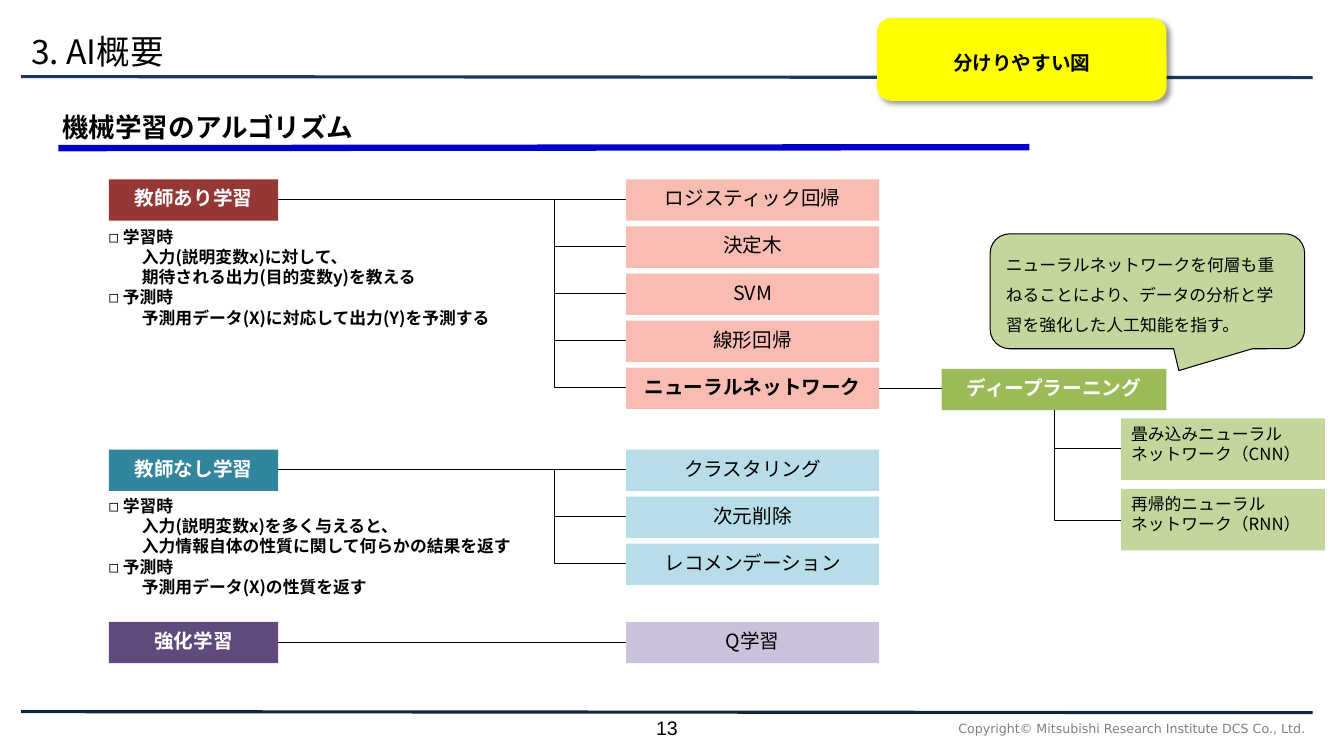
from dataclasses import dataclass

from lxml.etree import SubElement
from pptx import Presentation
from pptx.dml.color import RGBColor
from pptx.enum.shapes import MSO_CONNECTOR, MSO_SHAPE
from pptx.enum.text import MSO_ANCHOR, PP_ALIGN
from pptx.oxml.ns import qn
from pptx.util import Inches, Pt


@dataclass(frozen=True)
class Theme:
    """Fonts, type sizes and colours of the slide."""
    font: str = "Noto Sans CJK JP"
    number_font: str = "Arial"
    footer_font: str = "DejaVu Sans"
    title: int = 24
    heading: int = 19
    label: int = 14
    body: int = 12
    footer: int = 9
    black: str = "000000"
    white: str = "FFFFFF"
    grey: str = "808080"
    navy: str = "17375E"
    dark_navy: str = "0F243E"
    blue: str = "0000CC"
    yellow: str = "FFFF00"
    red: str = "953735"
    pink: str = "F8BCB3"
    teal: str = "31859C"
    sky: str = "B7DEE8"
    purple: str = "604A7B"
    lilac: str = "CCC1DA"
    green: str = "9BBB59"
    lime: str = "C3D69B"


class Deck:
    """Draws styled elements on the current slide."""

    def __init__(self, prs, theme):
        self.t = theme
        self.s = prs.slides.add_slide(prs.slide_layouts[6])

    def set_text(self, sp, lines, size, color=None, bold=False, align=PP_ALIGN.LEFT,
                 leading=1.2, font=None, anchor=MSO_ANCHOR.TOP, indented=()):
        """Fill a shape with evenly styled paragraphs."""
        tf = sp.text_frame
        tf.word_wrap = True
        tf.vertical_anchor = anchor
        for i, line in enumerate(lines):
            p = tf.paragraphs[0] if i == 0 else tf.add_paragraph()
            p.add_run().text = line
            p.alignment = align
            p.line_spacing = Pt(round(size * leading, 1))
            if i in indented:
                p._p.get_or_add_pPr().set("marL", str(Inches(0.33)))
            p.font.size = Pt(size)
            p.font.bold = bold
            p.font.color.rgb = RGBColor.from_string(color or self.t.black)
            p.font.name = font or self.t.font
            SubElement(p.font._element, qn("a:ea"), typeface=p.font.name)

    def text(self, x, y, w, h, lines, size, **style):
        """Add a text box."""
        sp = self.s.shapes.add_textbox(Inches(x), Inches(y), Inches(w), Inches(h))
        self.set_text(sp, lines, size, **style)
        return sp

    def box(self, x, y, w, h, fill, lines, size, kind=MSO_SHAPE.RECTANGLE, **style):
        """Add a filled shape with text and no outline."""
        sp = self.s.shapes.add_shape(kind, Inches(x), Inches(y), Inches(w), Inches(h))
        sp.shadow.inherit = False
        sp.fill.solid()
        sp.fill.fore_color.rgb = RGBColor.from_string(fill)
        sp.line.fill.background()
        self.set_text(sp, lines, size, **style)
        return sp

    def label(self, x, y, w, fill, line, **style):
        """Add a one-line node of the tree."""
        return self.box(x, y, w, 0.41, fill, [line], self.t.label,
                        align=PP_ALIGN.CENTER, leading=1.3, **style)

    def stroke(self, sp, color, width):
        """Set the outline of a shape or connector."""
        sp.line.color.rgb = RGBColor.from_string(color)
        sp.line.width = Pt(width)

    def line(self, x1, y1, x2, y2, color=None, width=0.75):
        """Add a straight line."""
        c = self.s.shapes.add_connector(
            MSO_CONNECTOR.STRAIGHT, Inches(x1), Inches(y1), Inches(x2), Inches(y2))
        self.stroke(c, color or self.t.black, width)
        SubElement(c._element.spPr, qn("a:effectLst"))

    def elbow(self, x1, y1, x2, y2):
        """Add a line that runs down and then right."""
        fb = self.s.shapes.build_freeform(Inches(x1), Inches(y1))
        fb.add_line_segments([(Inches(x1), Inches(y2)), (Inches(x2), Inches(y2))], close=False)
        sp = fb.convert_to_shape()
        sp.shadow.inherit = False
        sp.fill.background()
        self.stroke(sp, self.t.black, 0.75)

    def branches(self, x1, y1, x2, ys):
        """Link a trunk to every branch height."""
        for y in ys[:-1]:
            self.line(x1, y, x2, y)
        self.elbow(x1, y1, x2, ys[-1])

    def tree(self, y, root, leaves, dark, light, strong=None):
        """Add a learning type with its algorithms."""
        tops = [y + 0.467 * i for i in range(len(leaves))]
        mid = y + 0.2
        self.label(1.08, y, 1.68, dark, root, color=self.t.white, bold=True)
        self.line(2.76, mid, 6.21, mid)
        if len(leaves) > 1:
            self.branches(5.5, mid, 6.21, [top + 0.2 for top in tops[1:]])
        for top, leaf in zip(tops, leaves):
            self.label(6.21, top, 2.51, light, leaf, bold=leaf == strong)

    def phases(self, y, learning, prediction):
        """Describe the learning and prediction phases."""
        lines = ["◻ 学習時", *learning, "◻ 予測時", prediction]
        self.text(0.98, y, 4.27, 1.11, lines, self.t.body, bold=True, indented=(1, 2, 4))

    def cast_shadow(self, sp):
        """Give a shape a soft shadow to the lower right."""
        effects = sp._element.spPr.find(qn("a:effectLst"))
        shadow = SubElement(effects, qn("a:outerShdw"), blurRad=str(Pt(4)),
                            dist=str(Pt(3)), dir="2700000", algn="tl", rotWithShape="0")
        color = SubElement(shadow, qn("a:srgbClr"), val=self.t.black)
        SubElement(color, qn("a:alpha"), val="40000")


def main():
    """Build the slide on machine learning algorithms."""
    prs = Presentation()
    prs.slide_width, prs.slide_height = Inches(13.33), Inches(7.5)
    t = Theme()
    d = Deck(prs, t)

    d.line(0.21, 7.06, 13.02, 7.07, t.dark_navy, 2.25)
    footer = d.text(7.2, 7.15, 5.84, 0.15,
                    ["Copyright© Mitsubishi Research Institute DCS Co., Ltd."], t.footer,
                    color=t.grey, font=t.footer_font, align=PP_ALIGN.RIGHT,
                    anchor=MSO_ANCHOR.BOTTOM)
    footer.text_frame.margin_top = footer.text_frame.margin_bottom = 0
    d.text(0.21, 7.08, 12.81, 0.31, ["13"], t.label, font=t.number_font,
           align=PP_ALIGN.CENTER, anchor=MSO_ANCHOR.BOTTOM)
    d.line(0.21, 0.76, 13.02, 0.77, t.navy, 2.25)
    d.text(0.21, 0.26, 11.5, 0.47, ["3. AI概要"], t.title)
    note = d.box(8.7, 0.18, 2.87, 0.82, t.yellow, ["分けりやすい図"], t.label,
                 kind=MSO_SHAPE.ROUNDED_RECTANGLE, bold=True,
                 align=PP_ALIGN.CENTER, leading=2.4)
    d.cast_shadow(note)
    d.text(0.52, 1.05, 9.76, 0.42, ["機械学習のアルゴリズム"], t.heading, bold=True)
    d.line(0.58, 1.47, 10.21, 1.46, t.blue, 4.5)

    network = "ニューラルネットワーク"
    d.tree(1.78, "教師あり学習", ["ロジスティック回帰", "決定木", "SVM", "線形回帰", network],
           t.red, t.pink, strong=network)
    d.tree(4.46, "教師なし学習", ["クラスタリング", "次元削除", "レコメンデーション"],
           t.teal, t.sky)
    d.tree(6.17, "強化学習", ["Q学習"], t.purple, t.lilac)
    d.phases(2.2, ["入力(説明変数x)に対して、", "期待される出力(目的変数y)を教える"],
             "予測用データ(X)に対応して出力(Y)を予測する")
    d.phases(4.87, ["入力(説明変数x)を多く与えると、", "入力情報自体の性質に関して何らかの結果を返す"],
             "予測用データ(X)の性質を返す")

    d.line(8.72, 3.85, 9.34, 3.85)
    d.label(9.34, 3.66, 2.23, t.green, "ディープラーニング", color=t.white, bold=True)
    d.branches(10.46, 4.07, 11.12, [4.45, 5.16])
    for y, kind, short in ((4.15, "畳み込み", "CNN"), (4.85, "再帰的", "RNN")):
        d.box(11.12, y, 2.02, 0.61, t.lime,
              [f"{kind}ニューラル", f"ネットワーク（{short}）"], t.body)
    callout = d.box(9.82, 2.32, 3.12, 1.14, t.lime,
                    ["ニューラルネットワークを何層も重ねることにより、"
                     "データの分析と学習を強化した人工知能を指す。"], t.body,
                    kind=MSO_SHAPE.ROUNDED_RECTANGULAR_CALLOUT, leading=1.8)
    d.stroke(callout, t.black, 0.75)
    for i, value in enumerate((0.1, 0.69, 0.17)):
        callout.adjustments[i] = value
    prs.save("out.pptx")


if __name__ == "__main__":
    main()
